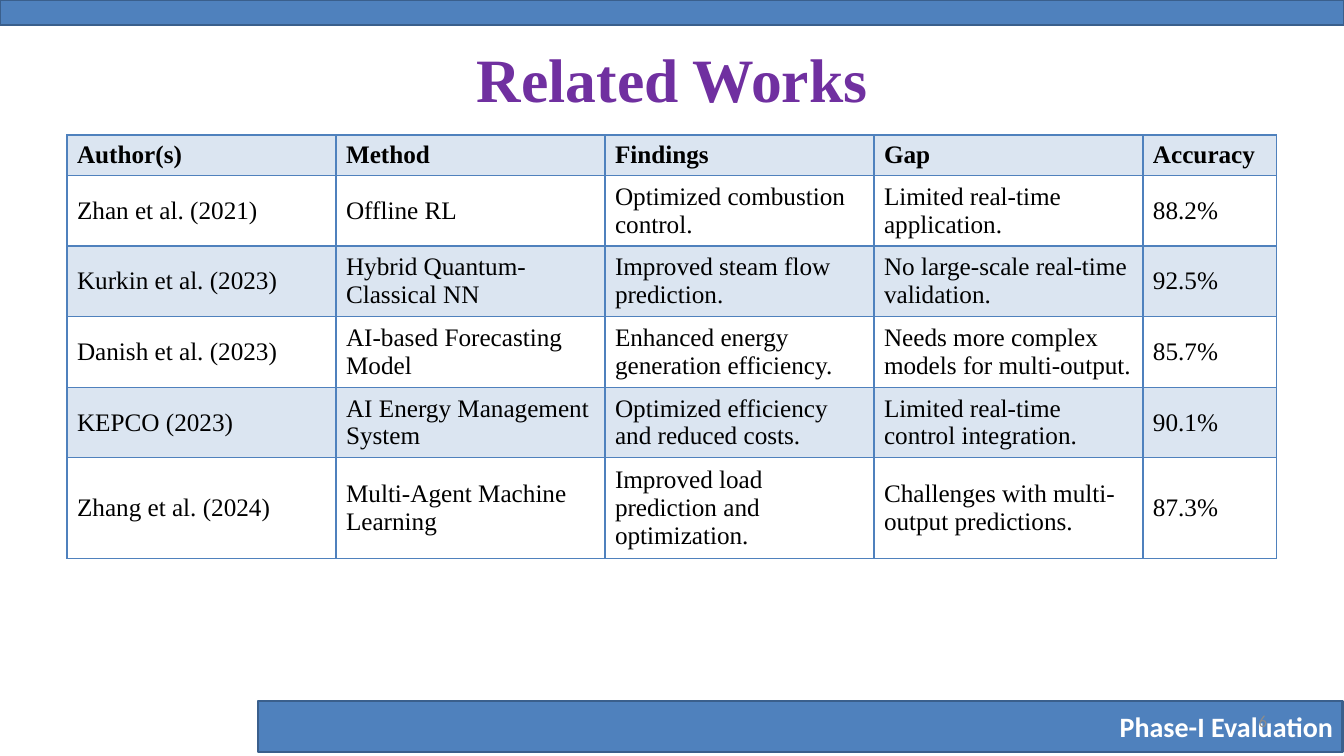
from dataclasses import dataclass

from lxml.etree import SubElement
from pptx import Presentation
from pptx.dml.color import RGBColor
from pptx.enum.shapes import MSO_SHAPE
from pptx.enum.text import MSO_ANCHOR, PP_ALIGN
from pptx.oxml.ns import qn
from pptx.shapes.autoshape import Shape
from pptx.slide import Slide
from pptx.table import Table, _Cell
from pptx.util import Emu, Pt


@dataclass(frozen=True)
class Theme:
    blue: str = "4F81BD"
    edge: str = "3A5F8C"
    purple: str = "7030A0"
    black: str = "000000"
    white: str = "FFFFFF"
    grey: str = "8C8C8C"
    serif: str = "Times New Roman"
    sans: str = "Calibri"
    title: int = 44
    footer: int = 20
    body: int = 18
    number: int = 12
    tint: int = 20  # percent opacity of shaded rows


@dataclass(frozen=True)
class Box:
    left: int
    top: int
    width: int
    height: int

    def emu(self) -> tuple[Emu, ...]:
        return tuple(px(n) for n in (self.left, self.top, self.width, self.height))


@dataclass(frozen=True)
class Style:
    font: str
    size: int
    color: str
    bold: bool = False
    align: PP_ALIGN = PP_ALIGN.LEFT


@dataclass(frozen=True)
class Work:
    author: str
    method: str
    finding: str
    gap: str
    score: str
    height: int = 66

    def texts(self) -> tuple[str, ...]:
        return self.author, self.method, self.finding, self.gap, self.score


THEME = Theme()
SCALE = 914400 / 100.8  # EMU in one px

TITLE = Style(THEME.serif, THEME.title, THEME.purple, True, PP_ALIGN.CENTER)
FOOTER = Style(THEME.sans, THEME.footer, THEME.white, True, PP_ALIGN.RIGHT)
NUMBER = Style(THEME.sans, THEME.number, THEME.grey, align=PP_ALIGN.RIGHT)
HEAD = Style(THEME.serif, THEME.body, THEME.black, True)
BODY = Style(THEME.serif, THEME.body, THEME.black)

WIDTHS = (269, 269, 269, 269, 134)
WORKS = (
    Work("Author(s)", "Method", "Findings", "Gap", "Accuracy", 38),
    Work("Zhan et al. (2021)", "Offline RL", "Optimized combustion control.",
         "Limited real-time application.", "88.2%"),
    Work("Kurkin et al. (2023)", "Hybrid Quantum-Classical NN",
         "Improved steam flow prediction.",
         "No large-scale real-time validation.", "92.5%"),
    Work("Danish et al. (2023)", "AI-based Forecasting Model",
         "Enhanced energy generation efficiency.",
         "Needs more complex models for multi-output.", "85.7%"),
    Work("KEPCO (2023)", "AI Energy Management System",
         "Optimized efficiency and reduced costs.",
         "Limited real-time control integration.", "90.1%"),
    Work("Zhang et al. (2024)", "Multi-Agent Machine Learning",
         "Improved load prediction and optimization.",
         "Challenges with multi-output predictions.", "87.3%", 94),
)


def px(count: int) -> Emu:
    return Emu(round(count * SCALE))


def rgb(code: str) -> RGBColor:
    return RGBColor.from_string(code)


def write(host: Shape | _Cell, text: str, style: Style) -> None:
    host.text_frame.word_wrap = True
    host.vertical_anchor = MSO_ANCHOR.MIDDLE
    if isinstance(host, Shape):
        host.text_frame.vertical_anchor = MSO_ANCHOR.MIDDLE
    para = host.text_frame.paragraphs[0]
    para.text = text
    para.alignment = style.align
    para.font.name = style.font
    para.font.size = Pt(style.size)
    para.font.bold = style.bold
    para.font.color.rgb = rgb(style.color)


def add_bar(slide: Slide, box: Box) -> Shape:
    bar = slide.shapes.add_shape(MSO_SHAPE.RECTANGLE, *box.emu())
    bar.shadow.inherit = False
    bar.fill.solid()
    bar.fill.fore_color.rgb = rgb(THEME.blue)
    bar.line.color.rgb = rgb(THEME.edge)
    bar.line.width = Pt(2)
    return bar


def outline(cell: _Cell) -> None:
    props = cell._tc.get_or_add_tcPr()
    for side in ("a:lnL", "a:lnR", "a:lnT", "a:lnB"):
        line = SubElement(props, qn(side), w=str(Pt(1)))
        fill = SubElement(line, qn("a:solidFill"))
        SubElement(fill, qn("a:srgbClr"), val=THEME.blue)


def shade(cell: _Cell) -> None:
    cell.fill.solid()
    cell.fill.fore_color.rgb = rgb(THEME.blue)
    color = cell._tc.tcPr.find(qn("a:solidFill")).find(qn("a:srgbClr"))
    SubElement(color, qn("a:alpha"), val=str(THEME.tint * 1000))


def add_works(slide: Slide, left: int, top: int) -> Table:
    box = Box(left, top, sum(WIDTHS), sum(work.height for work in WORKS))
    table = slide.shapes.add_table(len(WORKS), len(WIDTHS), *box.emu()).table
    table.first_row = table.horz_banding = False
    for col, width in zip(table.columns, WIDTHS):
        col.width = px(width)
    for index, (row, work) in enumerate(zip(table.rows, WORKS)):
        row.height = px(work.height)
        for cell, text in zip(row.cells, work.texts()):
            write(cell, text, BODY if index else HEAD)
            outline(cell)
            if index % 2:
                cell.fill.background()
            else:
                shade(cell)
    return table


def main() -> None:
    deck = Presentation()
    deck.slide_width, deck.slide_height = px(1344), px(756)
    slide = deck.slides.add_slide(deck.slide_layouts[5])

    # Bars at the foot and the top
    foot = add_bar(slide, Box(258, 701, 1085, 51))
    write(foot, "Phase-I Evaluation", FOOTER)
    add_bar(slide, Box(0, 0, 1344, 25))

    # Title
    title = slide.shapes.title
    title.left, title.top, title.width, title.height = Box(219, 30, 907, 96).emu()
    write(title, "Related Works", TITLE)

    # Slide number
    number = slide.shapes.add_textbox(*Box(964, 701, 313, 40).emu())
    write(number, "6", NUMBER)

    # Table of related works
    add_works(slide, 67, 135)
    deck.save("out.pptx")


if __name__ == "__main__":
    main()
